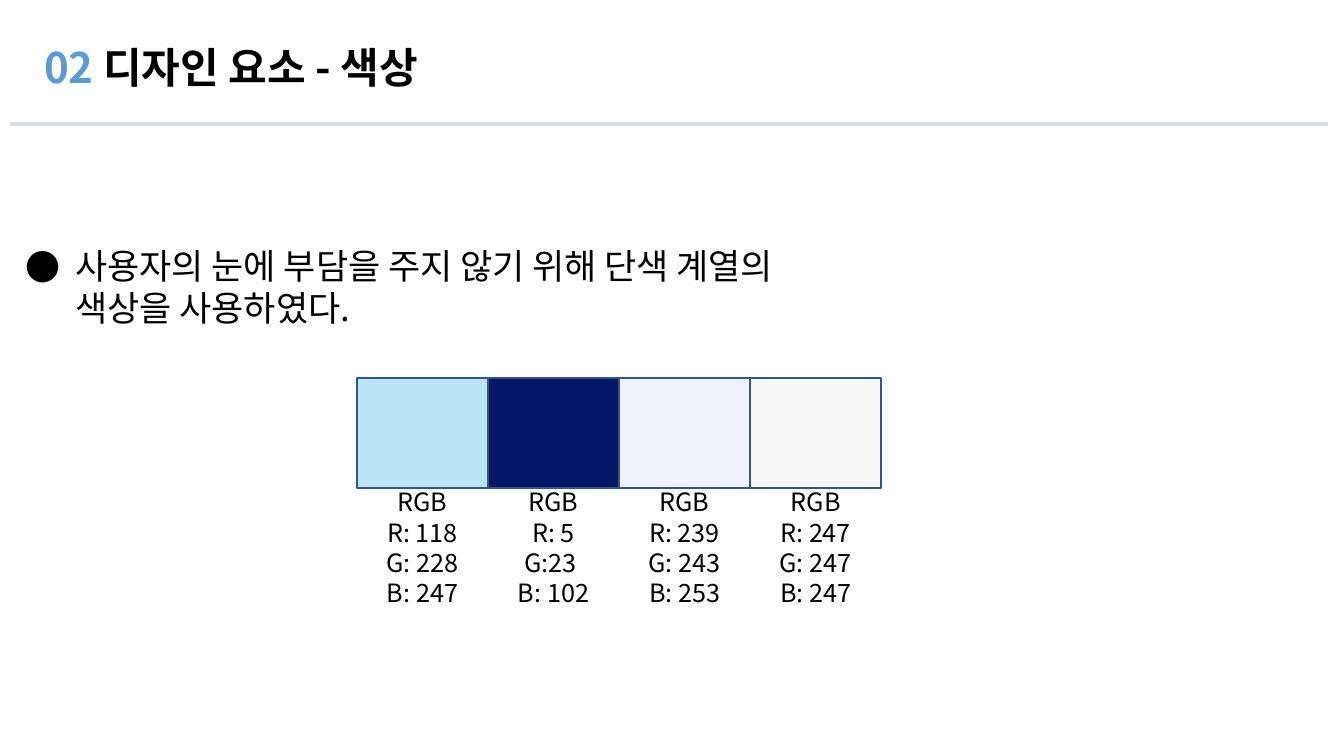
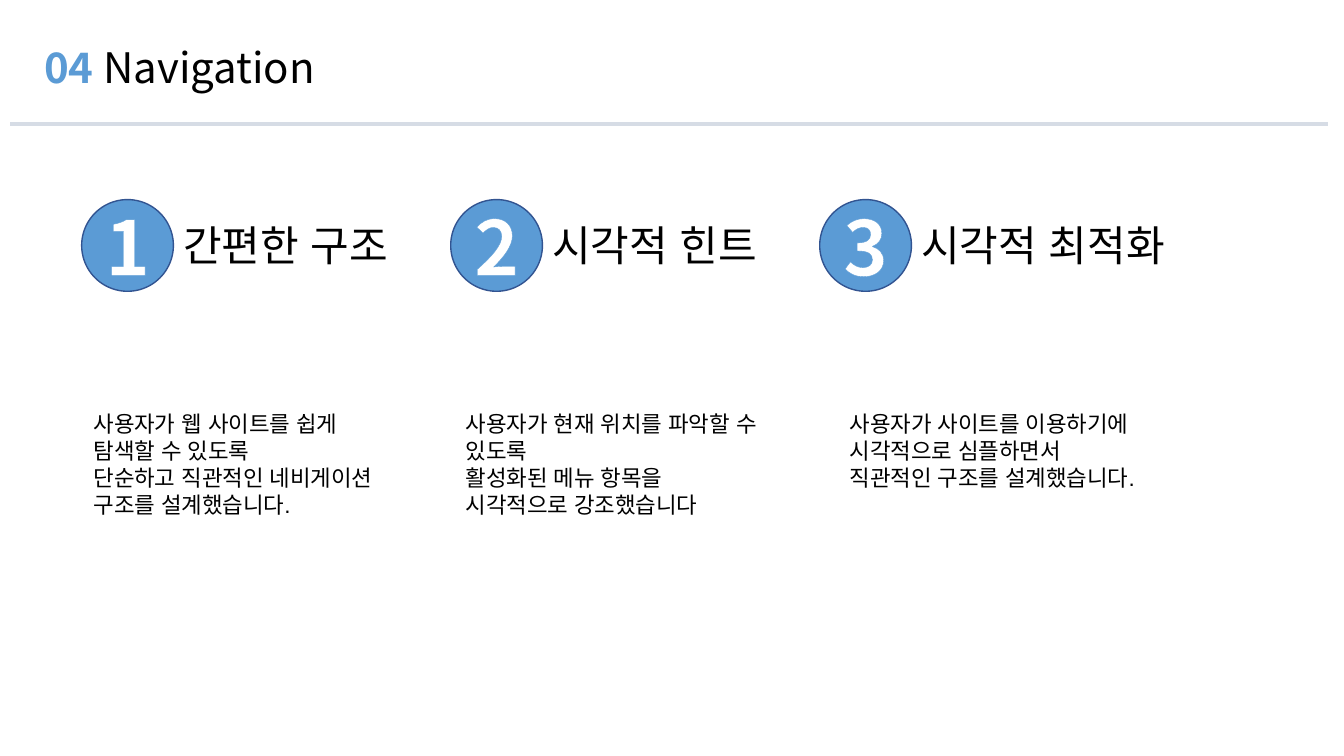
from lxml import etree
from pptx import Presentation
from pptx.dml.color import RGBColor
from pptx.enum.shapes import MSO_CONNECTOR, MSO_SHAPE
from pptx.enum.text import MSO_ANCHOR, PP_ALIGN
from pptx.oxml import parse_xml
from pptx.oxml.ns import nsdecls, qn
from pptx.util import Inches, Pt

NOTO, ARIAL = "Noto Sans CJK KR", "Arial"
BLACK, WHITE, BLUE = "000000", "FFFFFF", "5B9BD5"
OUTLINE, RULE = "325491", "D6DCE5"

rgb = RGBColor.from_string


def add_run(p, text, size, font=NOTO, color=BLACK, bold=False):
    r = p.add_run()
    r.text = text
    r.font.size, r.font.name, r.font.bold = Pt(size), font, bold
    r.font.color.rgb = rgb(color)
    ea = etree.SubElement(r.font._element, qn("a:ea"))
    ea.set("typeface", font)
    return r


def add_paragraphs(s, x, y, w, h, lines=(), size=18, font=NOTO, align=PP_ALIGN.LEFT):
    """Add a wrapping text box with one paragraph per line; return its text frame."""
    tf = s.shapes.add_textbox(Inches(x), Inches(y), Inches(w), Inches(h)).text_frame
    tf.word_wrap = True
    for i, line in enumerate(lines):
        p = tf.add_paragraph() if i else tf.paragraphs[0]
        p.alignment = align
        add_run(p, line, size, font)
    return tf


prs = Presentation()
prs.slide_width, prs.slide_height = Inches(13.33), Inches(7.5)

# Shared header: numbered title above a rule
slides = []
for number, title, bold in [("02 ", "디자인 요소 - 색상", True), ("04", " Navigation", False)]:
    s = prs.slides.add_slide(prs.slide_layouts[6])
    rule = s.shapes.add_connector(
        MSO_CONNECTOR.STRAIGHT, Inches(0.1), Inches(1.23), Inches(13.17), Inches(1.23))
    rule.line.color.rgb = rgb(RULE)
    rule.line.width = Pt(2.25)
    etree.SubElement(rule._element.spPr, qn("a:effectLst"))
    p = add_paragraphs(s, 0.34, 0.36, 12.83, 0.61).paragraphs[0]
    add_run(p, number, 30, color=BLUE, bold=True)
    add_run(p, title, 30, bold=bold)
    slides.append(s)
color_slide, nav_slide = slides

# Colours: bulleted statement
p = add_paragraphs(color_slide, 0.15, 2.38, 10.6, 0.94).paragraphs[0]
pPr = p._p.get_or_add_pPr()
pPr.set("marL", str(Inches(0.5)))
pPr.set("indent", str(-Inches(0.5)))
pPr.append(parse_xml(f'<a:buFont {nsdecls("a")} typeface="{NOTO}"/>'))
pPr.append(parse_xml(f'<a:buChar {nsdecls("a")} char="●"/>'))
add_run(p, "사용자의 눈에 부담을 주지 않기 위해 단색 계열의", 25)
p.add_line_break()
add_run(p, "색상을 사용하였다.", 25)

# Colours: swatches with their values
swatches = [
    ("BCE4F7", ["R: 118", "G: 228", "B: 247"]),
    ("051766", ["R: 5", "G:23 ", "B: 102"]),
    ("EFF3FD", ["R: 239", "G: 243", "B: 253"]),
    ("F7F7F7", ["R: 247", "G: 247", "B: 247"]),
]
swatch_w = 1.3
for i, (fill, values) in enumerate(swatches):
    x = 3.54 + i * swatch_w
    sp = color_slide.shapes.add_shape(
        MSO_SHAPE.RECTANGLE, Inches(x), Inches(3.75), Inches(swatch_w), Inches(1.09))
    sp.shadow.inherit = False
    sp.fill.solid()
    sp.fill.fore_color.rgb = rgb(fill)
    sp.line.color.rgb = rgb(OUTLINE)
    sp.line.width = Pt(1)
    add_paragraphs(color_slide, x, 4.78, swatch_w, 1.31, ["RGB", *values],
                   align=PP_ALIGN.CENTER)

# Navigation: three numbered points
points = [
    ("간편한 구조", 0.83, 3.2,
     ["사용자가 웹 사이트를 쉽게", "탐색할 수 있도록",
      "단순하고 직관적인 네비게이션 구조를 설계했습니다."]),
    ("시각적 힌트", 4.52, 3.2,
     ["사용자가 현재 위치를 파악할 수 있도록",
      "활성화된 메뉴 항목을 시각적으로 강조했습니다"]),
    ("시각적 최적화", 8.33, 3.31,
     ["사용자가 사이트를 이용하기에 시각적으로 심플하면서",
      "직관적인 구조를 설계했습니다."]),
]
circle_d = 0.91
for i, (heading, body_x, body_w, body) in enumerate(points):
    x = 0.81 + i * 3.66
    sp = nav_slide.shapes.add_shape(
        MSO_SHAPE.OVAL, Inches(x), Inches(1.98), Inches(circle_d), Inches(circle_d))
    sp.shadow.inherit = False
    sp.fill.solid()
    sp.fill.fore_color.rgb = rgb(BLUE)
    sp.line.color.rgb = rgb(OUTLINE)
    sp.line.width = Pt(1)
    tf = sp.text_frame
    tf.margin_left = tf.margin_right = tf.margin_top = tf.margin_bottom = 0
    tf.vertical_anchor = MSO_ANCHOR.MIDDLE
    tf.word_wrap = False
    p = tf.paragraphs[0]
    p.alignment = PP_ALIGN.CENTER
    r = add_run(p, str(i + 1), 54, color=WHITE, bold=True)
    r.font._element.insert(0, parse_xml(
        f'<a:ln {nsdecls("a")} w="{Pt(0.8)}"><a:solidFill>'
        f'<a:srgbClr val="{BLUE}"/></a:solidFill></a:ln>'))
    add_paragraphs(nav_slide, x + circle_d, 2.13, 2.7, 0.61, [heading], 30, ARIAL)
    add_paragraphs(nav_slide, body_x, 4.02, body_w, 1.18, body, 16, ARIAL)

prs.save("out.pptx")
